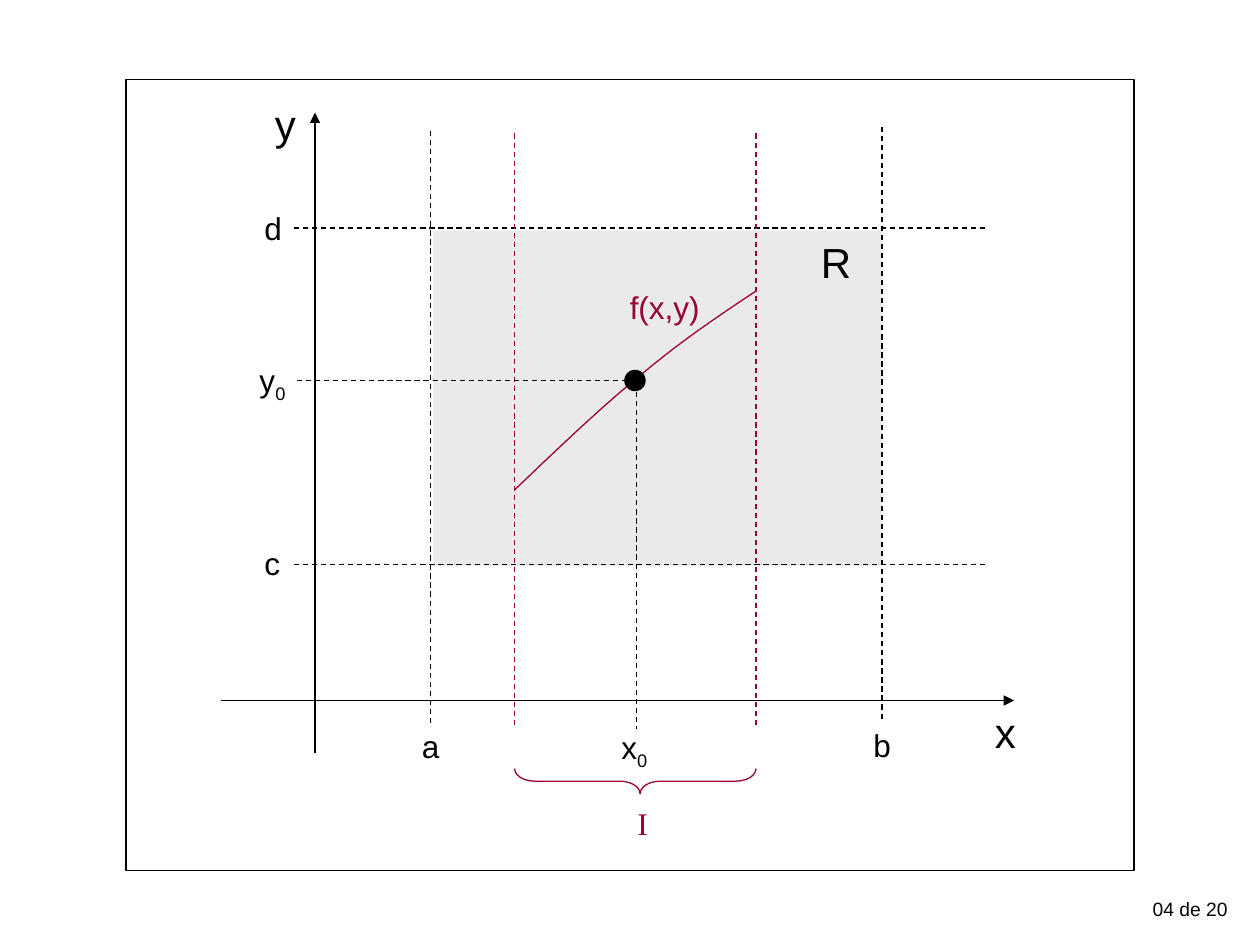
from typing import NamedTuple

from lxml.etree import SubElement
from pptx import Presentation
from pptx.dml.color import RGBColor
from pptx.enum.dml import MSO_LINE
from pptx.enum.shapes import MSO_CONNECTOR, MSO_SHAPE
from pptx.enum.text import PP_ALIGN
from pptx.oxml.ns import qn
from pptx.util import Pt

BLACK = RGBColor(0, 0, 0)
WHITE = RGBColor(255, 255, 255)
GRAY = RGBColor(0xEA, 0xEA, 0xEA)
CRIMSON = RGBColor(0x99, 0, 0x33)
LINE_WIDTH = 0.75

A, B = 246.2, 504
C, D = 322.6, 130.3
INTERVAL_START, INTERVAL_END = 294, 432
POINT_X, POINT_Y = 363.6, 217.4
AXIS_X, AXIS_Y = 180, 400.3
GUIDE_LEFT, GUIDE_RIGHT, GUIDE_HEIGHT = 168, 564, 340


class Point(NamedTuple):
    x: float
    y: float


class Segment(NamedTuple):
    start: Point
    end: Point
    color: RGBColor = BLACK
    dashed: bool = True
    arrow: bool = False


class Label(NamedTuple):
    text: str
    left: float
    top: float
    width: float = 54
    size: float = 18
    color: RGBColor = BLACK
    font: str = "Arial"
    subscript: str = ""
    align: PP_ALIGN = PP_ALIGN.LEFT


def vertical(x: float, top: float, color: RGBColor = BLACK) -> Segment:
    return Segment(Point(x, top), Point(x, top + GUIDE_HEIGHT), color)


def horizontal(y: float, right: float, left: float = GUIDE_LEFT) -> Segment:
    return Segment(Point(left, y), Point(right, y))


SEGMENTS = [
    Segment(Point(126, AXIS_Y), Point(579.5, AXIS_Y), dashed=False, arrow=True),
    Segment(Point(AXIS_X, 430.5), Point(AXIS_X, 64.3), dashed=False, arrow=True),
    vertical(A, 74.9),
    vertical(B, 72.4),
    horizontal(C, GUIDE_RIGHT),
    horizontal(D, GUIDE_RIGHT),
    vertical(INTERVAL_START, 76.3, CRIMSON),
    vertical(INTERVAL_END, 76.3, CRIMSON),
    Segment(Point(POINT_X, 224), Point(POINT_X, 416.3)),
    Segment(Point(POINT_X, POINT_Y), Point(GUIDE_LEFT, POINT_Y)),
]

LABELS = [
    Label("x", 561.5, 400.3, 72, 24),
    Label("y", 150, 52.6, 72, 24),
    Label("a", 234, 411.8),
    Label("b", 492, 411.1),
    Label("d", 144, 115.9),
    Label("c", 144, 307.4),
    Label("I", 357.2, 455.8, color=CRIMSON, font="Times New Roman"),
    Label("R", 462, 131.8, 30, 24),
    Label("x", 348, 412.6, subscript="0"),
    Label("y", 141.2, 203, subscript="0"),
    Label("f(x,y)", 352.8, 161.3, 66, color=CRIMSON),
    Label("04 de 20", 642.2, 509, 66.5, 11, align=PP_ALIGN.RIGHT),
]

CURVE = [
    (Point(294, 280), Point(318.2, 257), Point(342.7, 233.3), Point(365.8, 214.6)),
    (Point(365.8, 214.6), Point(388.8, 195.1), Point(410.4, 180.7), Point(432, 166.3)),
]


def style_shape(shape, *, fill=None, line=None) -> None:
    shape.shadow.inherit = False
    if fill is None:
        shape.fill.background()
    else:
        shape.fill.solid()
        shape.fill.fore_color.rgb = fill
    if line is None:
        shape.line.fill.background()
    else:
        shape.line.color.rgb = line
        shape.line.width = Pt(LINE_WIDTH)


def add_preset(slide, kind, left: float, top: float, width: float, height: float, *,
               fill=None, line=None):
    shape = slide.shapes.add_shape(kind, Pt(left), Pt(top), Pt(width), Pt(height))
    style_shape(shape, fill=fill, line=line)
    return shape


def add_segment(slide, segment: Segment) -> None:
    connector = slide.shapes.add_connector(
        MSO_CONNECTOR.STRAIGHT, *(Pt(value) for value in segment.start + segment.end))
    connector.line.color.rgb = segment.color
    connector.line.width = Pt(LINE_WIDTH)
    if segment.dashed:
        connector.line.dash_style = MSO_LINE.DASH
    if segment.arrow:
        SubElement(connector.line._get_or_add_ln(), qn("a:tailEnd"), type="triangle")
    SubElement(connector._element.spPr, qn("a:effectLst"))


def add_run(paragraph, text: str, *, size: float, color: RGBColor, font: str,
            subscript: bool = False) -> None:
    run = paragraph.add_run()
    run.text = text
    run.font.size = Pt(size)
    run.font.name = font
    run.font.color.rgb = color
    if subscript:
        run._r.get_or_add_rPr().set("baseline", "-25000")


def add_label(slide, label: Label) -> None:
    height = label.size * 1.2 + 7.2
    box = slide.shapes.add_textbox(
        Pt(label.left), Pt(label.top), Pt(label.width), Pt(height))
    box.text_frame.word_wrap = True
    paragraph = box.text_frame.paragraphs[0]
    paragraph.alignment = label.align
    paragraph.space_before = Pt(label.size * 0.625)
    look = {"size": label.size, "color": label.color, "font": label.font}
    add_run(paragraph, label.text, **look)
    if label.subscript:
        add_run(paragraph, label.subscript, subscript=True, **look)


def bezier_point(controls: tuple[Point, ...], t: float) -> Point:
    weights = ((1 - t) ** 3, 3 * t * (1 - t) ** 2, 3 * t ** 2 * (1 - t), t ** 3)
    return Point(sum(w * p.x for w, p in zip(weights, controls)),
                 sum(w * p.y for w, p in zip(weights, controls)))


def add_curve(slide, steps: int = 10) -> None:
    points = [bezier_point(controls, step / steps)
              for controls in CURVE for step in range(1, steps + 1)]
    start = CURVE[0][0]
    builder = slide.shapes.build_freeform(Pt(start.x), Pt(start.y))
    builder.add_line_segments([(Pt(x), Pt(y)) for x, y in points], close=False)
    style_shape(builder.convert_to_shape(), line=CRIMSON)


def add_brace(slide) -> None:
    length, depth = INTERVAL_END - INTERVAL_START, 14.4
    center = Point((INTERVAL_START + INTERVAL_END) / 2, 446.4)
    brace = add_preset(slide, MSO_SHAPE.RIGHT_BRACE, center.x - depth / 2,
                       center.y - length / 2, depth, length, line=CRIMSON)
    brace.rotation = 90
    brace.adjustments[0] = 0.8
    brace.adjustments[1] = 0.48


def main() -> None:
    presentation = Presentation()
    presentation.slide_width, presentation.slide_height = Pt(720), Pt(540)
    slide = presentation.slides.add_slide(presentation.slide_layouts[6])
    add_preset(slide, MSO_SHAPE.RECTANGLE, 72, 45.4, 576, 452.2, fill=WHITE, line=BLACK)
    add_preset(slide, MSO_SHAPE.RECTANGLE, 247.7, 131.8, 256.3, 191.5, fill=GRAY)
    for segment in SEGMENTS:
        add_segment(slide, segment)
    add_brace(slide)
    add_curve(slide)
    add_preset(slide, MSO_SHAPE.OVAL, 357.1, 211.7, 11.5, 11.5, fill=BLACK, line=BLACK)
    for label in LABELS:
        add_label(slide, label)
    presentation.save("out.pptx")


if __name__ == "__main__":
    main()
